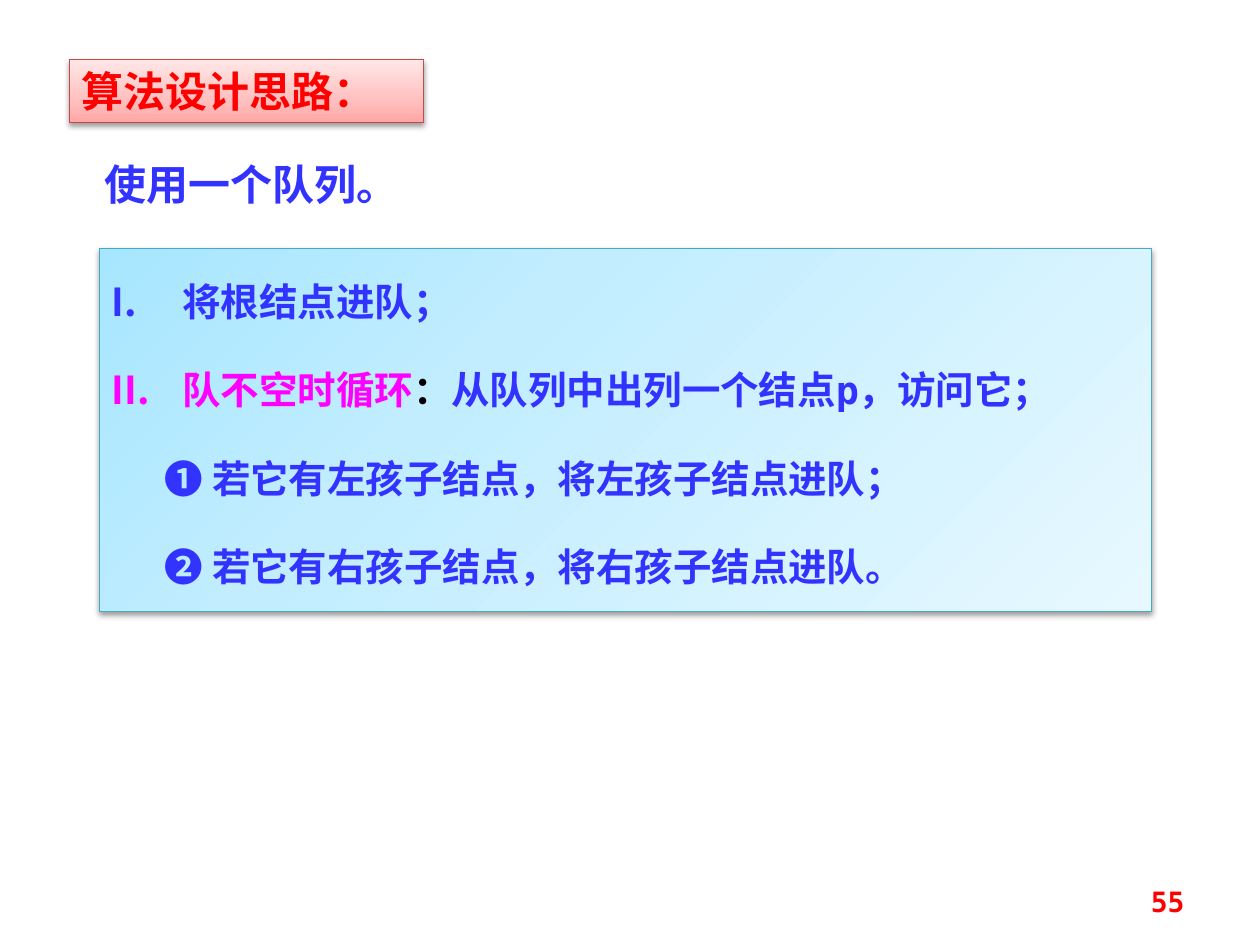
import dataclasses
import typing

import pptx
import pptx.dml.color
import pptx.enum.shapes
import pptx.enum.text
import pptx.oxml
import pptx.oxml.ns
import pptx.util

WIDTH, HEIGHT = 10, 7.5
CJK_FONT = "Noto Sans CJK SC"
MONO_FONT = "DejaVu Sans Mono"
NAMESPACE = pptx.oxml.ns.nsdecls("a")
COLORS = {
    "blue": "3333FF",
    "magenta": "FF00FF",
    "black": "000000",
    "red": "FF0000",
    "steps line": "46AAC5",
    "title line": "BF4C48",
}
GRADIENT_STOPS = (0, 35, 100)
ALIGN = pptx.enum.text.PP_ALIGN


@dataclasses.dataclass(frozen=True)
class Box:
    """A rectangle given as shares of the slide's width and height."""
    left: float
    top: float
    width: float
    height: float

    def lengths(self) -> list[int]:
        shares = ((self.left, WIDTH), (self.top, HEIGHT),
                  (self.width, WIDTH), (self.height, HEIGHT))
        return [pptx.util.Inches(share * size) for share, size in shares]


@dataclasses.dataclass(frozen=True)
class Panel:
    box: Box
    gradient: tuple[str, str, str]
    angle: int
    line: str


@dataclasses.dataclass(frozen=True)
class Step:
    runs: tuple[tuple[str, str], ...]
    margin: float
    numbered: bool = False


TITLE = Panel(Box(0.055, 0.063, 0.281, 0.067), ("FFA6A5", "FFC0BF", "FFE7E7"), 270, "title line")
STEPS_PANEL = Panel(Box(0.079, 0.263, 0.835, 0.384), ("A7E6FF", "C1EDFF", "E7F8FF"), 45, "steps line")
SUBTITLE_BOX = Box(0.055, 0.161, 0.289, 0.067)
NUMBER_BOX = Box(0.717, 0.927, 0.233, 0.053)

STEPS = (
    Step((("将根结点进队；", "blue"),), 0.56, True),
    Step((("队不空时循环", "magenta"), ("：", "black"),
          ("从队列中出列一个结点p，访问它；", "blue")), 0.56, True),
    Step((("❶ 若它有左孩子结点，将左孩子结点进队；", "blue"),), 0.42),
    Step((("❷ 若它有右孩子结点，将右孩子结点进队。", "blue"),), 0.42),
)


def rgb(name: str) -> pptx.dml.color.RGBColor:
    return pptx.dml.color.RGBColor.from_string(COLORS[name])


def add_panel(slide: typing.Any, panel: Panel) -> typing.Any:
    """Add a rectangle with a three-stop gradient and a soft shadow below it."""
    shape = slide.shapes.add_shape(
        pptx.enum.shapes.MSO_SHAPE.RECTANGLE, *panel.box.lengths())
    shape.line.color.rgb = rgb(panel.line)
    shape.line.width = pptx.util.Pt(0.75)
    stops = "".join(
        f'<a:gs pos="{position * 1000}"><a:srgbClr val="{color}"/></a:gs>'
        for position, color in zip(GRADIENT_STOPS, panel.gradient))
    properties = shape.element.spPr
    properties.find(pptx.oxml.ns.qn("a:prstGeom")).addnext(pptx.oxml.parse_xml(
        f'<a:gradFill {NAMESPACE} rotWithShape="1"><a:gsLst>{stops}</a:gsLst>'
        f'<a:lin ang="{panel.angle * 60000}" scaled="0"/></a:gradFill>'))
    properties.append(pptx.oxml.parse_xml(
        f'<a:effectLst {NAMESPACE}><a:outerShdw blurRad="40000" dist="20000" '
        f'dir="5400000" rotWithShape="0"><a:srgbClr val="000000">'
        f'<a:alpha val="38000"/></a:srgbClr></a:outerShdw></a:effectLst>'))
    return shape


def add_text_box(slide: typing.Any, box: Box) -> typing.Any:
    return slide.shapes.add_textbox(*box.lengths())


def prepare_frame(shape: typing.Any, anchor: typing.Any, grow: bool = True) -> typing.Any:
    frame = shape.text_frame
    frame.word_wrap = True
    frame.vertical_anchor = anchor
    sizes = pptx.enum.text.MSO_AUTO_SIZE
    frame.auto_size = sizes.SHAPE_TO_FIT_TEXT if grow else sizes.NONE
    return frame


def set_font(paragraph: typing.Any, name: str, size: int, color: str) -> None:
    font = paragraph.font
    font.name, font.size, font.bold = name, pptx.util.Pt(size), True
    font.color.rgb = rgb(color)


def use_cjk_font(run: typing.Any) -> None:
    """Set the East Asian typeface of a run."""
    run.font.fill  # creates no element until a colour is set
    run._r.get_or_add_rPr().append(
        pptx.oxml.parse_xml(f'<a:ea {NAMESPACE} typeface="{CJK_FONT}"/>'))


def write_line(shape: typing.Any, text: str, font: str, size: int, color: str,
               align: typing.Any, anchor: typing.Any, grow: bool = True) -> None:
    paragraph = prepare_frame(shape, anchor, grow).paragraphs[0]
    paragraph.alignment = align
    set_font(paragraph, font, size, color)
    run = paragraph.add_run()
    run.text = text
    use_cjk_font(run)


def write_step(paragraph: typing.Any, step: Step) -> None:
    paragraph.alignment = ALIGN.LEFT
    paragraph.line_spacing = 1.5
    set_font(paragraph, MONO_FONT, 22, step.runs[0][1])
    properties = paragraph._p.get_or_add_pPr()
    margin = pptx.util.Inches(step.margin)
    properties.set("marL", str(margin))
    properties.set("indent", str(-margin if step.numbered else 0))
    spacing = properties.find(pptx.oxml.ns.qn("a:lnSpc"))
    before = pptx.oxml.parse_xml(
        f'<a:spcBef {NAMESPACE}><a:spcPct val="50000"/></a:spcBef>')
    spacing.addnext(before)
    if step.numbered:
        bullet_font = pptx.oxml.parse_xml(f'<a:buFont {NAMESPACE} typeface="{CJK_FONT}"/>')
        before.addnext(bullet_font)
        bullet_font.addnext(
            pptx.oxml.parse_xml(f'<a:buAutoNum {NAMESPACE} type="romanUcPeriod"/>'))
    for text, color in step.runs:
        run = paragraph.add_run()
        run.text = text
        run.font.color.rgb = rgb(color)
        use_cjk_font(run)


def main() -> None:
    presentation = pptx.Presentation()
    presentation.slide_width = pptx.util.Inches(WIDTH)
    presentation.slide_height = pptx.util.Inches(HEIGHT)
    slide = presentation.slides.add_slide(presentation.slide_layouts[6])
    anchors = pptx.enum.text.MSO_ANCHOR

    frame = prepare_frame(add_panel(slide, STEPS_PANEL), anchors.TOP)
    for index, step in enumerate(STEPS):
        write_step(frame.add_paragraph() if index else frame.paragraphs[0], step)

    write_line(add_panel(slide, TITLE), "算法设计思路：", CJK_FONT, 24, "red",
               ALIGN.LEFT, anchors.TOP)
    write_line(add_text_box(slide, SUBTITLE_BOX), "使用一个队列。", CJK_FONT, 24, "blue",
               ALIGN.CENTER, anchors.TOP)
    write_line(add_text_box(slide, NUMBER_BOX), "55", MONO_FONT, 16, "red",
               ALIGN.RIGHT, anchors.MIDDLE, grow=False)
    presentation.save("out.pptx")


if __name__ == "__main__":
    main()
